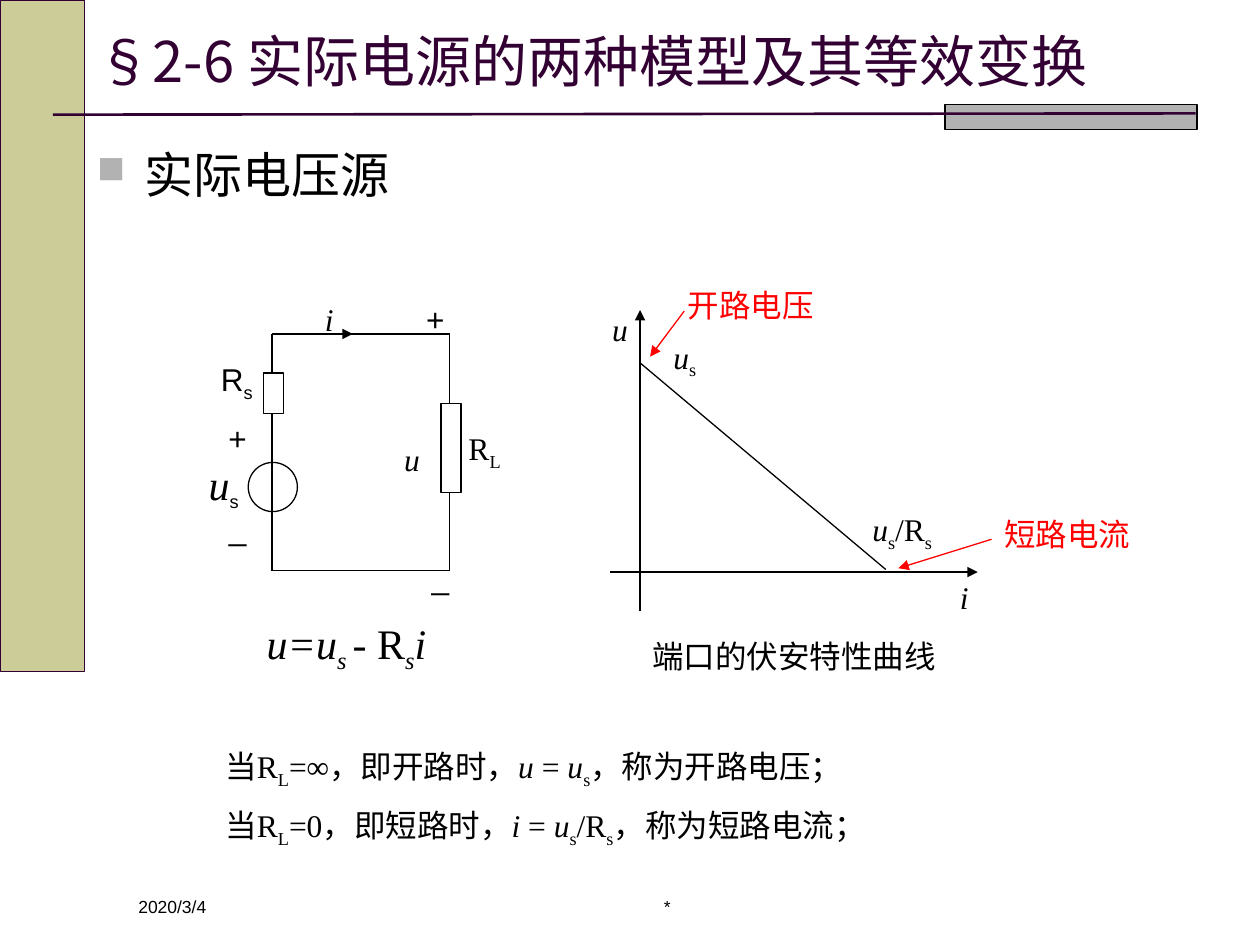
from dataclasses import dataclass

from lxml import etree
from pptx import Presentation
from pptx import util as u
from pptx.dml import color
from pptx.enum import shapes, text
from pptx.oxml import ns


@dataclass(frozen=True)
class Theme:
    ink: str = "000000"
    plum: str = "330033"
    khaki: str = "CCCC99"
    gray: str = "B2B2B2"
    red: str = "FF0000"
    white: str = "FFFFFF"
    sans: str = "Arial"
    serif: str = "Times New Roman"
    chinese: str = "Noto Sans CJK SC"
    title: int = 32
    body: int = 28
    formula: int = 24
    label: int = 18
    footer: int = 10
    thin: float = 0.75
    thick: float = 1.5


THEME = Theme()
CENTER = text.PP_ALIGN.CENTER
RECTANGLE = shapes.MSO_SHAPE.RECTANGLE
OVAL = shapes.MSO_SHAPE.OVAL


def rgb(value):
    return color.RGBColor.from_string(value)


def apply_format(target, values):
    for name, value in values.items():
        setattr(target, name, value)


def add_run(paragraph, content, style="", font=THEME.serif, size=THEME.label, ink=THEME.ink):
    """Style letters: i = italic, s = subscript."""
    run = paragraph.add_run()
    run.text = content
    run.font.color.rgb = rgb(ink)
    apply_format(run.font, {"name": font, "size": u.Pt(size), "italic": "i" in style})
    properties = run.font._element
    etree.SubElement(properties, ns.qn("a:ea"), typeface=THEME.chinese)
    if "s" in style:
        properties.set("baseline", "-25000")


def add_text(slide, box, paragraphs, align=None, wrap=True, grow=True, anchor=None, **style):
    """Each paragraph is a list of (text, style letters[, overrides]) runs."""
    shape = slide.shapes.add_textbox(*map(u.Inches, box))
    frame = shape.text_frame
    fit = text.MSO_AUTO_SIZE.SHAPE_TO_FIT_TEXT if grow else text.MSO_AUTO_SIZE.NONE
    apply_format(frame, {"word_wrap": wrap, "auto_size": fit, "vertical_anchor": anchor})
    for index, runs in enumerate(paragraphs):
        paragraph = frame.add_paragraph() if index else frame.paragraphs[0]
        apply_format(paragraph, {"alignment": align,
                                 "space_before": u.Pt(THEME.label / 2 if index else 0)})
        for content, letters, *overrides in runs:
            add_run(paragraph, content, letters, **{**style, **(overrides[0] if overrides else {})})
    return shape


def add_bullet(paragraph):
    properties = paragraph._p.get_or_add_pPr()
    apply_indent = {"marL": u.Inches(0.38), "indent": u.Inches(-0.38)}
    for name, value in apply_indent.items():
        properties.set(name, str(value))
    bullet_color = etree.SubElement(properties, ns.qn("a:buClr"))
    etree.SubElement(bullet_color, ns.qn("a:srgbClr"), val=THEME.gray)
    etree.SubElement(properties, ns.qn("a:buSzPct"), val="78000")
    etree.SubElement(properties, ns.qn("a:buChar"), char="■")


def add_block(slide, kind, box, fill=None, line=THEME.ink):
    shape = slide.shapes.add_shape(kind, *map(u.Inches, box))
    shape.shadow.inherit = False
    if fill:
        shape.fill.solid()
        shape.fill.fore_color.rgb = rgb(fill)
    else:
        shape.fill.background()
    shape.line.color.rgb = rgb(line)
    shape.line.width = u.Pt(THEME.thin)


def add_line(slide, start, end, ink=THEME.ink, width=THEME.thin, arrow=False):
    connector = slide.shapes.add_connector(
        shapes.MSO_CONNECTOR.STRAIGHT, *map(u.Inches, (*start, *end)))
    connector.line.color.rgb = rgb(ink)
    connector.line.width = u.Pt(width)
    if arrow:
        etree.SubElement(connector.line._get_or_add_ln(), ns.qn("a:tailEnd"), type="triangle")
    etree.SubElement(connector._element.spPr, ns.qn("a:effectLst"))


def add_frame(slide):
    # Side band, corner block, title rule
    add_block(slide, RECTANGLE, (0, 0, 0.67, 5.33), THEME.khaki, THEME.plum)
    add_block(slide, RECTANGLE, (7.5, 0.83, 2, 0.2), THEME.gray)
    add_line(slide, (0.42, 0.91), (9.49, 0.9), THEME.plum, THEME.thick)
    # Footer
    footer = {"font": THEME.sans, "size": THEME.footer, "grow": False}
    add_text(slide, (1, 7.06, 2.17, 0.28), [[("2020/3/4", "")]], **footer)
    add_text(slide, (3.67, 7.06, 3.25, 0.28), [[("*", "")]], CENTER, **footer)
    # Title and heading
    add_text(slide, (0.67, 0.21, 8.83, 0.53),
             [[("§2-6 ", "", {"font": THEME.chinese}), ("实际电源的两种模型及其等效变换", "")]],
             grow=False, anchor=text.MSO_ANCHOR.MIDDLE, size=THEME.title, ink=THEME.plum)
    heading = add_text(slide, (0.67, 1.1, 8.83, 5.85), [[("实际电压源", "")]],
                       grow=False, font=THEME.sans, size=THEME.body)
    add_bullet(heading.text_frame.paragraphs[0])


def add_circuit(slide):
    left, right, top, bottom = 2.16, 3.57, 2.65, 4.53
    # Wires and current arrow
    for x in (left, right):
        add_line(slide, (x, top), (x, bottom))
    for y in (top, bottom):
        add_line(slide, (left, y), (right, y))
    add_line(slide, (2.36, top), (2.8, top), arrow=True)
    # Source and resistors
    add_block(slide, OVAL, (1.97, 3.67, 0.39, 0.39))
    add_block(slide, RECTANGLE, (2.09, 2.96, 0.16, 0.32), THEME.white)
    add_block(slide, RECTANGLE, (3.5, 3.2, 0.16, 0.71), THEME.white)
    # Polarity signs
    for x, y, width, sign in ((1.69, 3.28, 0.39, "+"), (1.69, 3.99, 0.39, "_"),
                              (3.26, 2.33, 0.39, "+"), (3.26, 4.38, 0.47, "_")):
        add_text(slide, (x, y, width, 0.4), [[(sign, "")]], CENTER, font=THEME.sans)
    # Component labels
    sans = {"font": THEME.sans}
    add_text(slide, (1.38, 3.59, 0.79, 0.5),
             [[("u", "i", {"size": THEME.formula}), ("s", "s", sans)]], CENTER)
    add_text(slide, (1.53, 2.81, 0.63, 0.4), [[(" R", ""), ("s", "s")]], CENTER, **sans)
    add_text(slide, (3.5, 3.36, 0.63, 0.4), [[(" R", ""), ("L", "s")]], CENTER)
    add_text(slide, (2.48, 2.33, 0.24, 0.4), [[("i", "i")]], CENTER)
    add_text(slide, (3.11, 3.44, 0.31, 0.4), [[("u", "i")]], CENTER)
    # Port equation
    add_text(slide, (1.61, 4.85, 2.28, 0.5),
             [[("u=u", "i"), ("s ", "is"), ("- ", "i"), ("R", ""), ("s", "is"), ("i", "i")]],
             CENTER, size=THEME.formula)


def add_curve(slide):
    axis_x, axis_y = 5.08, 4.54
    # Axes and characteristic
    add_line(slide, (axis_x, 4.85), (axis_x, 2.46), arrow=True)
    add_line(slide, (4.84, axis_y), (7.76, axis_y), arrow=True)
    add_line(slide, (axis_x, 2.88), (7.03, 4.52))
    # Axis and intercept labels
    source = [("u", "i"), ("s", "s")]
    for box, runs in (((4.76, 2.41, 0.31, 0.4), [("u", "i")]),
                      ((7.52, 4.54, 0.24, 0.4), [("i", "i")]),
                      ((5.16, 2.63, 0.55, 0.4), source),
                      ((6.69, 4, 0.94, 0.4), source + [("/R", ""), ("s", "s")])):
        add_text(slide, box, [runs], CENTER)
    add_text(slide, (5.08, 5.01, 2.68, 0.4), [[("端口的伏安特性曲线", "")]], font=THEME.sans)
    # Red callouts
    for x, y, name, start, end in (
            (5.36, 2.22, "开路电压", (5.43, 2.47), (5.16, 2.83)),
            (7.87, 4.04, "短路电流", (7.87, 4.28), (7.13, 4.51))):
        add_text(slide, (x, y, 1.21, 0.4), [[(name, "")]], wrap=False,
                 font=THEME.sans, ink=THEME.red)
        add_line(slide, start, end, THEME.red, arrow=True)


def add_conclusions(slide):
    load = [("当R", ""), ("L", "s")]
    source = [("= ", ""), ("u", "i"), ("s", "s")]
    add_text(slide, (1.69, 5.88, 5.2, 1.24), [
        load + [("=∞，即开路时，", ""), ("u ", "i")] + source + [("，称为开路电压；", "")],
        load + [("=0，即短路时，", ""), ("i ", "i")] + source
        + [("/R", ""), ("s", "s"), ("，称为短路电流；", "")],
    ])


def main():
    presentation = Presentation()
    apply_format(presentation, {"slide_width": u.Inches(10), "slide_height": u.Inches(7.5)})
    slide = presentation.slides.add_slide(presentation.slide_layouts[6])
    add_frame(slide)
    add_circuit(slide)
    add_curve(slide)
    add_conclusions(slide)
    presentation.save("out.pptx")


if __name__ == "__main__":
    main()
